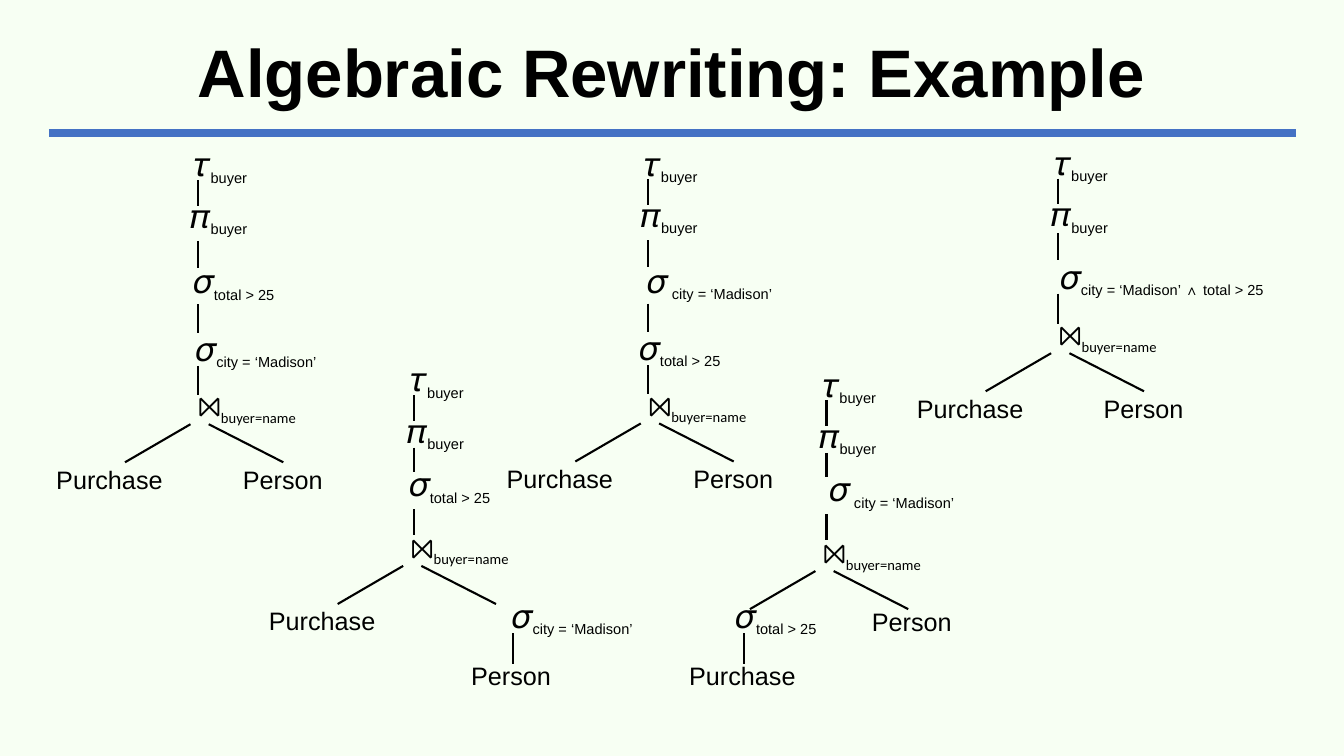
from dataclasses import dataclass

from lxml import etree
from pptx import Presentation
from pptx.dml.color import RGBColor
from pptx.enum.shapes import MSO_CONNECTOR, MSO_SHAPE
from pptx.enum.text import MSO_ANCHOR, PP_ALIGN
from pptx.oxml.ns import qn
from pptx.util import Cm, Pt

STRAIGHT = MSO_CONNECTOR.STRAIGHT
ELLIPSE = MSO_SHAPE.OVAL
MIDDLE = MSO_ANCHOR.MIDDLE
CENTER = PP_ALIGN.CENTER

BACKGROUND = RGBColor(0xF7, 0xFF, 0xF3)
BLACK = RGBColor(0x00, 0x00, 0x00)
BLUE = RGBColor(0x44, 0x72, 0xC4)

TITLE_LAYOUT = 5
OPERATOR_WIDTH = 3.68
RELATION_WIDTHS = {"Purchase": 4.06, "Person": 3.25}

TOTAL = "total > 25"
CITY = "city = ‘Madison’"
BOTH = "city = ‘Madison’ ∧ total > 25"


@dataclass
class Selection:
    """A sigma operator: condition, height below its parent, shift from the stem."""
    condition: str
    drop: float
    shift: float


@dataclass
class QueryTree:
    """Stem position, operators below the top and the join, in centimetres."""
    stem: float
    top: float
    selections: list
    segments: list
    join_drop: float
    join_shift: float = 0
    leaf_drop: float = 1.8
    pushed_left: Selection = None
    pushed_right: Selection = None


UPPER_SEGMENTS = [(0.39, 1.03), (1.92, 2.6), (3.52, 4.23), (5.07, 5.8)]
LOWER_SEGMENTS = [(0.39, 1.03), (1.71, 2.32), (3.26, 3.9)]

TREES = [
    QueryTree(4.98, 4.15,
              [Selection(TOTAL, 2.95, 0.92), Selection(CITY, 4.65, 1.48)],
              UPPER_SEGMENTS, 6.12),
    QueryTree(16.33, 4.13,
              [Selection(" " + CITY, 2.95, 1.56), Selection(TOTAL, 4.65, 0.81)],
              UPPER_SEGMENTS, 6.12),
    QueryTree(26.67, 4.11, [Selection(BOTH, 2.87, 2.62)],
              [(0.39, 1.03), (1.77, 2.45), (3.29, 4.05)], 4.37),
    QueryTree(10.44, 9.57, [Selection(TOTAL, 2.64, 0.9)],
              LOWER_SEGMENTS, 4.27, -0.1,
              pushed_right=Selection(CITY, 1.68, 1.5)),
    QueryTree(20.83, 9.7, [Selection(" " + CITY, 2.64, 1.65)],
              LOWER_SEGMENTS, 4.27, -0.1, 1.69,
              pushed_left=Selection(TOTAL, 1.55, 0.8)),
]


class SlideBuilder:
    def __init__(self, presentation):
        self.slide = presentation.slides.add_slide(
            presentation.slide_layouts[TITLE_LAYOUT])
        self.shapes = self.slide.shapes
        fill = self.slide.background.fill
        fill.solid()
        fill.fore_color.rgb = BACKGROUND

    def style(self, font, size, name="Arial", bold=False):
        font.name, font.size, font.bold = name, Pt(size), bold
        font.color.rgb = BLACK

    def title(self, text):
        title = self.slide.shapes.title
        title.left, title.top = Cm(1.22), Cm(0.6)
        title.width, title.height = Cm(31.42), Cm(2.64)
        title.text_frame.text = text
        title.text_frame.vertical_anchor = MIDDLE
        paragraph = title.text_frame.paragraphs[0]
        paragraph.alignment = CENTER
        paragraph.line_spacing = 0.9
        self.style(paragraph.font, 48, bold=True)

    def line(self, x1, y1, x2, y2, color=BLACK, width=1.5):
        connector = self.shapes.add_connector(
            STRAIGHT, Cm(x1), Cm(y1), Cm(x2), Cm(y2))
        connector.line.color.rgb = color
        connector.line.width = Pt(width)
        etree.SubElement(connector._element.spPr, qn("a:effectLst"))

    def node(self, center, middle, width, height):
        """An unfilled ellipse whose text is centred on the given point."""
        shape = self.shapes.add_shape(
            ELLIPSE, Cm(center - width / 2), Cm(middle - height / 2),
            Cm(width), Cm(height))
        shape.shadow.inherit = False
        shape.fill.background()
        shape.line.fill.background()
        frame = shape.text_frame
        frame.word_wrap = False
        frame.vertical_anchor = MIDDLE
        paragraph = frame.paragraphs[0]
        paragraph.alignment = CENTER
        return paragraph

    def operator(self, symbol, subscript, center, middle, height,
                 size=24, font="Arial"):
        paragraph = self.node(center, middle, OPERATOR_WIDTH, height)
        for text, points in ((symbol, size), (subscript, 18)):
            run = paragraph.add_run()
            run.text = text
            self.style(run.font, points, font)
        run._r.get_or_add_rPr().set("baseline", "-25000")

    def relation(self, name, center, middle):
        paragraph = self.node(center, middle, RELATION_WIDTHS[name], 0.61)
        paragraph.text = name
        self.style(paragraph.font, 18)

    def selection(self, selection, stem, parent):
        self.operator("𝜎", selection.condition, stem + selection.shift,
                      parent + selection.drop, 0.84)

    def branch(self, name, join, middle, ends, leaf, pushed, pushed_stem):
        """One side of the join, ending in a relation or a pushed-down selection."""
        start, end = ends
        self.line(join + start, middle + 0.42, join + end, middle + 1.38)
        if pushed is None:
            self.relation(name, *leaf)
            return
        level = middle + pushed.drop
        self.selection(pushed, pushed_stem, middle)
        self.line(pushed_stem, level + 0.44, pushed_stem, level + 1.21)
        self.relation(name, pushed_stem - 0.05, level + 1.51)

    def tree(self, tree):
        self.shapes = self.slide.shapes.add_group_shape().shapes
        # Stem and unary operators
        for start, end in tree.segments:
            self.line(tree.stem, tree.top + start, tree.stem, tree.top + end)
        self.operator("𝜏", "buyer", tree.stem + 0.58, tree.top, 0.43)
        self.operator("𝜋", "buyer", tree.stem + 0.54, tree.top + 1.3, 0.43)
        for selection in tree.selections:
            self.selection(selection, tree.stem, tree.top)
        # Join and its two inputs
        join, middle = tree.stem + tree.join_shift, tree.top + tree.join_drop
        leaf_level = middle + tree.leaf_drop
        self.operator("⨝", "buyer=name", join + 1.25, middle, 0.64, 20, "Calibri")
        self.branch("Purchase", join, middle, (-0.18, -1.83),
                    (join - 2.22, leaf_level), tree.pushed_left, join - 1.97)
        self.branch("Person", join, middle, (0.28, 2.16),
                    (tree.stem + 2.15, leaf_level), tree.pushed_right, join + 2.59)


def main():
    presentation = Presentation()
    presentation.slide_width, presentation.slide_height = Cm(33.87), Cm(19.05)
    builder = SlideBuilder(presentation)

    # Heading with its rule
    builder.title("Algebraic Rewriting: Example")
    builder.line(1.23, 3.35, 32.65, 3.35, BLUE, 6)

    # Equivalent query plans
    for tree in TREES:
        builder.tree(tree)

    presentation.save("out.pptx")


if __name__ == "__main__":
    main()
